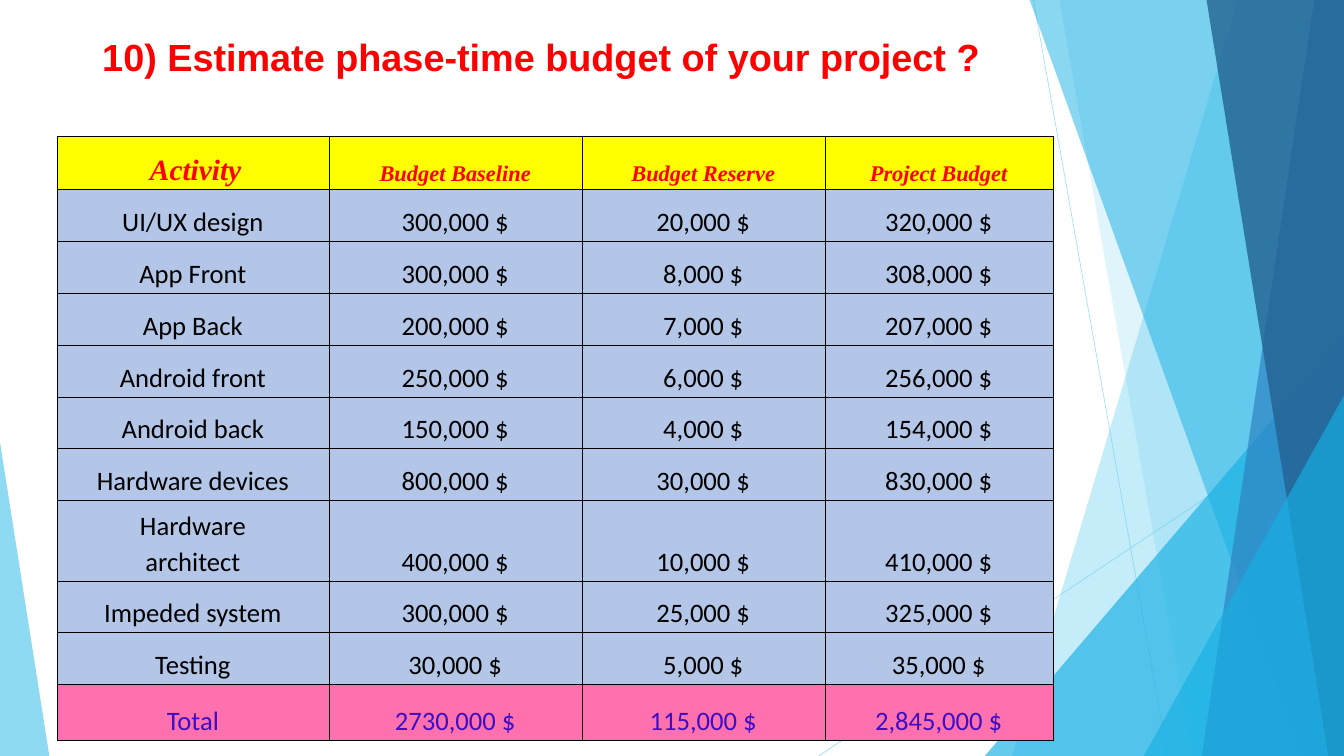
from lxml.etree import SubElement
from pptx import Presentation
from pptx.dml.color import RGBColor
from pptx.enum.shapes import MSO_CONNECTOR, MSO_SHAPE
from pptx.enum.text import MSO_ANCHOR, PP_ALIGN
from pptx.oxml.ns import qn
from pptx.util import Pt

WIDE, HIGH = 1919.5, 1080
SKY, CYAN, BLUE, NAVY = "5FCBEF", "17B0E4", "2E83C3", "236292"
RED, BLACK, VIOLET = "FF0000", "000000", "3D0EC2"
YELLOW, PALE, PINK = "FFFF00", "B3C6E7", "FF70AE"

HEADS = ["Activity", "Budget Baseline", "Budget Reserve", "Project Budget"]
COSTS = [
    ["UI/UX design", "300,000 $", "20,000 $", "320,000 $"],
    ["App Front", "300,000 $", "8,000 $", "308,000 $"],
    ["App Back", "200,000 $", "7,000 $", "207,000 $"],
    ["Android front", "250,000 $", "6,000 $", "256,000 $"],
    ["Android back", "150,000 $", "4,000 $", "154,000 $"],
    ["Hardware devices", "800,000 $", "30,000 $", "830,000 $"],
    ["Hardware\narchitect", "400,000 $", "10,000 $", "410,000 $"],
    ["Impeded system", "300,000 $", "25,000 $", "325,000 $"],
    ["Testing", "30,000 $", "5,000 $", "35,000 $"],
]
TOTAL = ["Total", "2730,000 $", "115,000 $", "2,845,000 $"]


def paint(fill, color, alpha=100):
    fill.solid()
    fill.fore_color.rgb = RGBColor.from_string(color)
    if alpha < 100:
        tone = fill._xPr.find(qn("a:solidFill"))[0]
        SubElement(tone, qn("a:alpha"), val=str(alpha * 1000))


def style(para, name, size, color, bold=False, slant=False):
    font = para.font
    font.name, font.size = name, Pt(size)
    font.bold, font.italic = bold, slant
    font.color.rgb = RGBColor.from_string(color)


def finish(shape, color, alpha):
    shape.shadow.inherit = False
    shape.line.fill.background()
    paint(shape.fill, color, alpha)


def add_line(slide, start, end):
    line = slide.shapes.add_connector(
        MSO_CONNECTOR.STRAIGHT, *map(Pt, start + end))
    line.line.width = Pt(0.75)
    paint(line.line.fill, SKY, 70)
    SubElement(line._element.spPr, qn("a:effectLst"))


def add_band(slide, box, top, foot, color, alpha):
    x, y, wide, high = box
    right, base = x + wide, y + high
    edge = [(right, y - 1.2), (right, base), (x + foot, base)]
    form = slide.shapes.build_freeform(Pt(x + top), Pt(y - 1.2))
    form.add_line_segments([(Pt(a), Pt(b)) for a, b in edge])
    finish(form.convert_to_shape(), color, alpha)


def add_wedge(slide, box, peak, color, alpha):
    shape = slide.shapes.add_shape(
        MSO_SHAPE.ISOSCELES_TRIANGLE, *map(Pt, box))
    shape.adjustments[0] = peak
    finish(shape, color, alpha)


def add_facets(slide, box):
    x, y, wide, high = box
    right, base = x + wide, y + high

    def corner(w, h):
        add_wedge(slide, (right - w, base - h, w, h), 1, CYAN, 66)

    add_line(slide, (x + 1476, y), (x + 1667.5, base))
    add_line(slide, (right, y + 579.6), (x + 1169.3, base))
    add_band(slide, box, 1768.3, 1445.8, SKY, 36)
    add_band(slide, box, 1512.7, 1702.8, SKY, 20)
    corner(513, 600)
    add_band(slide, box, 1470.2, 1859, CYAN, 50)
    add_band(slide, box, 1877, 1716.5, BLUE, 70)
    add_band(slide, box, 1723, 1897.2, NAVY, 80)
    corner(286, 515)
    add_wedge(slide, (x, base - 448, 70.5, 448), 0, SKY, 70)


def add_title(slide, box):
    frame = slide.shapes.add_textbox(*map(Pt, box)).text_frame
    frame.margin_left = frame.margin_right = 0
    frame.margin_top = frame.margin_bottom = 0
    frame.word_wrap = False
    para = frame.paragraphs[0]
    para.text = "10) Estimate phase-time budget of your project ?"
    style(para, "Arial", 54, RED, True)


def add_border(cell):
    props = cell._tc.get_or_add_tcPr()
    for side in ("lnL", "lnR", "lnT", "lnB"):
        line = SubElement(props, qn("a:" + side), w=str(Pt(0.45)))
        fill = SubElement(line, qn("a:solidFill"))
        SubElement(fill, qn("a:srgbClr"), val=BLACK)


def fill_cell(cell, text, color, *font):
    add_border(cell)
    paint(cell.fill, color)
    cell.vertical_anchor = MSO_ANCHOR.BOTTOM
    cell.text = text
    paras = cell.text_frame.paragraphs
    for para in paras:
        para.alignment = PP_ALIGN.CENTER
        style(para, *font)
    for para in paras[:-1]:
        para.space_after = Pt(4.2)


def add_costs(slide, box):
    rows = [HEADS, *COSTS, TOTAL]
    table = slide.shapes.add_table(
        len(rows), len(HEADS), *map(Pt, box)).table
    for col, size in zip(table.columns, (388, 361.5, 347, 325.5)):
        col.width = Pt(size)
    last = len(rows) - 1
    for r, row in enumerate(rows):
        tall = {0: 75, 7: 114.5, last: 80}.get(r, 74.2)
        table.rows[r].height = Pt(tall)
        for c, text in enumerate(row):
            if r == 0:
                size = 32 if c else 42
                look = YELLOW, "Times New Roman", size, RED, True, True
            elif r == last:
                look = PINK, "Calibri", 38, VIOLET
            else:
                look = PALE, "Calibri", 38, BLACK
            fill_cell(table.cell(r, c), text, *look)
    first = table.cell(0, 0).text_frame.paragraphs[0]
    first._p.get_or_add_pPr().set("marL", str(Pt(8)))


def main():
    deck = Presentation()
    deck.slide_width, deck.slide_height = Pt(WIDE), Pt(HIGH)
    slide = deck.slides.add_slide(deck.slide_layouts[6])
    add_facets(slide, (0, 0, WIDE, HIGH))
    add_title(slide, (146, 47.5, 1289, 104))
    add_costs(slide, (81.5, 195, 1422, 863))
    deck.save("out.pptx")


if __name__ == "__main__":
    main()
